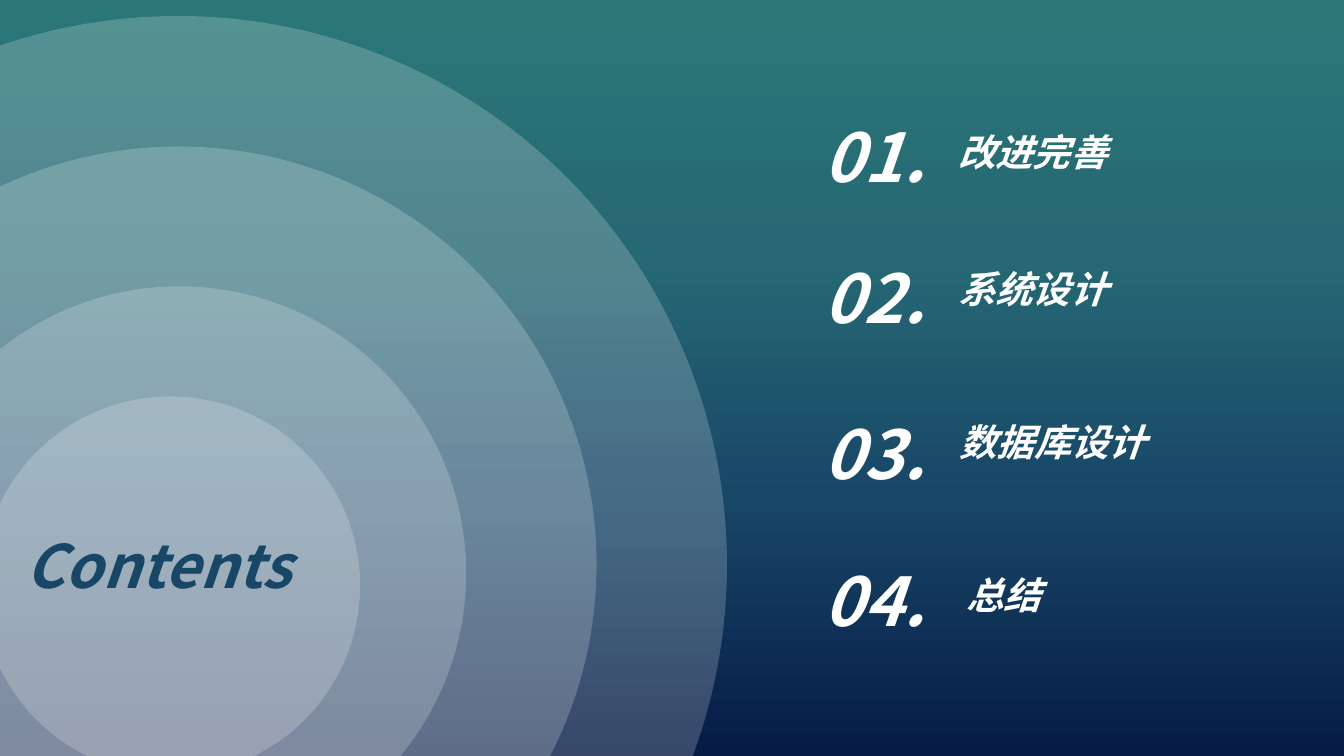
from lxml.etree import SubElement
from pptx import Presentation
from pptx.dml.color import RGBColor
from pptx.enum.shapes import MSO_SHAPE as SHAPE
from pptx.enum.text import MSO_ANCHOR as ANCHOR, MSO_AUTO_SIZE as AUTO_SIZE, PP_ALIGN as ALIGN
from pptx.oxml.ns import qn
from pptx.util import Pt

COLORS = {
    "teal": "2B7777",
    "sea": "266874",
    "blue": "184667",
    "navy": "061B46",
    "white": "FFFFFF",
}
FONT = "Noto Sans CJK SC"
GRADIENT = [(0, "teal"), (34, "sea"), (66, "blue"), (100, "navy")]

# left, top, diameter
RINGS = [
    (-198.7, 8.6, 588.2),
    (-128.2, 78.5, 447.8),
    (-57.6, 153.4, 307.4),
    (-10.1, 212.4, 203),
]
# topic, number top, topic left, topic top
AGENDA = [
    ("改进完善", 58.3, 506.2, 65.5),
    ("系统设计", 133.9, 506.2, 139),
    ("数据库设计", 217.4, 506.9, 221),
    ("总结", 295.9, 510.5, 303.1),
]
NUMBER_LEFT = 434.2
TOPIC_SIZE = 20


def write_text(frame, text, *, size, color):
    """Fill a text frame with one bold italic line that does not wrap."""
    frame.word_wrap = False
    frame.auto_size = AUTO_SIZE.SHAPE_TO_FIT_TEXT
    frame.vertical_anchor = ANCHOR.TOP
    paragraph = frame.paragraphs[0]
    paragraph.alignment = ALIGN.LEFT
    paragraph.line_spacing = 1.0
    run = paragraph.add_run()
    run.text = text
    font = run.font
    font.size, font.bold, font.italic = Pt(size), True, True
    font.color.rgb = RGBColor.from_string(COLORS[color])
    font.name = FONT
    SubElement(run._r.get_or_add_rPr(), qn("a:ea"), typeface=FONT)


class ContentsSlide:
    def __init__(self, slide):
        self.slide = slide

    def background(self, stops):
        """Paint a gradient from top to bottom."""
        fill = self.slide.background.fill
        fill.gradient()
        fill.gradient_angle = 270
        stop_list = self.slide.element.find(".//" + qn("a:gsLst"))
        stop_list.clear()
        for percent, color in stops:
            stop = SubElement(stop_list, qn("a:gs"), pos=str(percent * 1000))
            SubElement(stop, qn("a:srgbClr"), val=COLORS[color])

    def rings(self, circles, opacity):
        group = self.slide.shapes.add_group_shape()
        for left, top, diameter in circles:
            ring = group.shapes.add_shape(
                SHAPE.OVAL, Pt(left), Pt(top), Pt(diameter), Pt(diameter))
            ring.shadow.inherit = False
            ring.line.fill.background()
            ring.fill.solid()
            ring.fill.fore_color.rgb = RGBColor.from_string(COLORS["white"])
            color = ring.element.spPr.find(".//" + qn("a:srgbClr"))
            SubElement(color, qn("a:alpha"), val=str(opacity * 1000))

    def title(self, text, left, top, width, height, **style):
        """Place the title above everything drawn so far."""
        title = self.slide.shapes.title
        title.left, title.top = Pt(left), Pt(top)
        title.width, title.height = Pt(width), Pt(height)
        write_text(title.text_frame, text, **style)
        title.element.getparent().append(title.element)

    def label(self, text, left, top, width, height, **style):
        box = self.slide.shapes.add_textbox(Pt(left), Pt(top), Pt(width), Pt(height))
        write_text(box.text_frame, text, **style)


def main():
    deck = Presentation()
    deck.slide_width, deck.slide_height = Pt(720), Pt(405)
    contents = ContentsSlide(deck.slides.add_slide(deck.slide_layouts[5]))

    contents.background(GRADIENT)
    contents.rings(RINGS, opacity=20)
    contents.title("Contents", 6.5, 279.4, 169.9, 46.1, size=32, color="blue")
    for number, (topic, number_top, topic_left, topic_top) in enumerate(AGENDA, 1):
        contents.label(f"{number:02}.", NUMBER_LEFT, number_top, 75.5, 51,
                       size=36, color="white")
        contents.label(topic, topic_left, topic_top, len(topic) * TOPIC_SIZE + 15, 31.7,
                       size=TOPIC_SIZE, color="white")

    deck.save("out.pptx")


if __name__ == "__main__":
    main()
